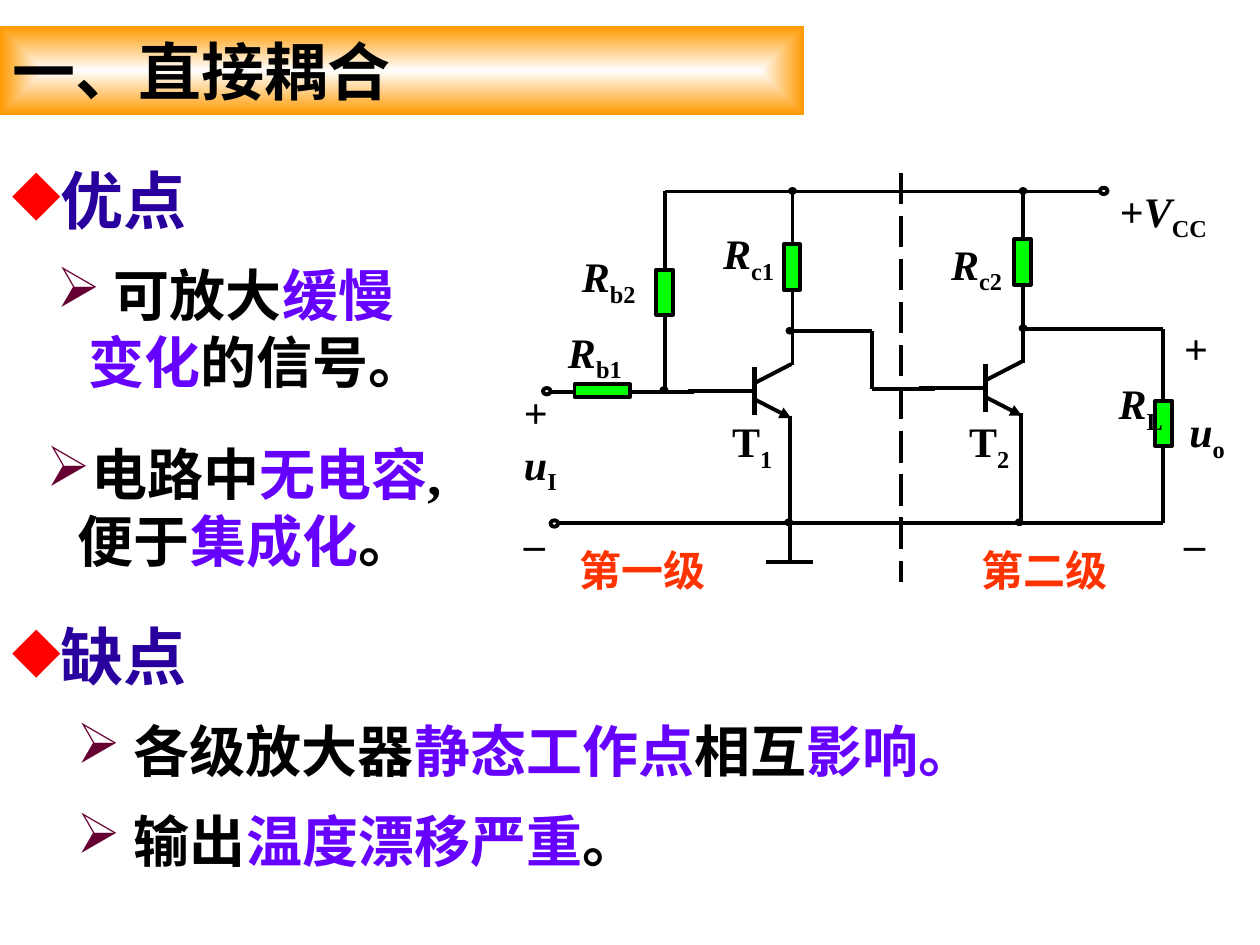
"""Build the slide on direct coupling of two amplifier stages."""
from lxml.etree import SubElement
from pptx import Presentation
from pptx.dml.color import RGBColor
from pptx.enum.dml import MSO_LINE_DASH_STYLE as Dash
from pptx.enum.shapes import MSO_CONNECTOR as Connector, MSO_SHAPE as Shape
from pptx.enum.text import MSO_ANCHOR as Anchor, MSO_AUTO_SIZE as AutoSize, PP_ALIGN as Align
from pptx.oxml.ns import qn
from pptx.util import Inches, Pt

BLACK, WHITE = RGBColor(0, 0, 0), RGBColor(255, 255, 255)
ORANGE, RED = RGBColor(0xFF, 0x99, 0), RGBColor(0xFF, 0, 0)
PURPLE, NAVY = RGBColor(0x66, 0, 0xFF), RGBColor(0x29, 0, 0x9E)
PLUM, VERMILION = RGBColor(0x66, 0, 0x33), RGBColor(0xFF, 0x33, 0)
GREEN = RGBColor(0, 0xFF, 0)
SERIF = "Times New Roman"

TITLE = "一、直接耦合"
HEADINGS = [("优点", 1.23), ("缺点", 4.85)]
POINTS = [
    ((0.51, 5.64, 7.64, 0.64), [(" 各级放大器", BLACK), ("静态工作点", PURPLE),
                                ("相互", BLACK), ("影响。", PURPLE)]),
    ((0.51, 6.35, 7.17, 0.64), [(" 输出", BLACK), ("温度漂移严重", PURPLE), ("。", BLACK)]),
    ((0.35, 2.02, 3.31, 1.17), [(" 可放大", BLACK), ("缓慢变化", PURPLE), ("的信号。", BLACK)]),
    ((0.27, 3.44, 3.62, 1.17), [("电路中", BLACK), ("无电容", PURPLE), (",便于", BLACK),
                                ("集成化", PURPLE), ("。", BLACK)]),
]
STAGE_NAMES = [("第一级", 4.5), ("第二级", 7.69)]

SUPPLY, GROUND, INPUT = 1.52, 4.15, 3.11
BIAS, LINK, LOAD, DIVIDER = 5.28, 6.92, 9.23, 7.15
STAGES = [(5.99, 3.10), (7.82, 3.08)]
TRANSISTOR = [
    ((0, 0), (-0.53, 0), 2.25, False),
    ((0, -0.06), (0.29, -0.21), 2.25, False),
    ((0, -0.19), (0, 0.19), 3, False),
    ((0.28, 0.2), (0.28, 0.63), 2.25, False),
    ((0.3, -0.63), (0.3, -0.2), 2.25, False),
    ((0, 0.07), (0.29, 0.22), 2.25, True),
]
WIRES = [
    (6.29, 2.63, LINK, 2.63), (LINK, 2.63, LINK, 3.09), (LINK, 3.09, 7.42, 3.09),
    (6.27, 3.43, 6.27, GROUND), (8.1, 3.43, 8.1, GROUND), (8.85, GROUND, 4.43, GROUND),
    (5.51, INPUT, 4.37, INPUT), (6.29, 2.75, 6.29, SUPPLY), (8.12, 2.65, 8.12, SUPPLY),
    (BIAS, SUPPLY, 8.12, SUPPLY), (BIAS, SUPPLY, BIAS, INPUT),
    (8.1, 2.61, LOAD, 2.61), (LOAD, 2.61, LOAD, GROUND), (LOAD, GROUND, 8.79, GROUND),
    (7.97, SUPPLY, 8.73, SUPPLY), (6.27, GROUND, 6.27, 4.46), (6.08, 4.46, 6.45, 4.46),
]
RESISTORS = [(4.56, 3.05, 0.44, 0.1), (6.22, 1.94, 0.13, 0.36), (8.05, 1.9, 0.13, 0.36),
             (5.21, 2.14, 0.13, 0.36), (9.17, 3.18, 0.13, 0.36)]
JUNCTIONS = [(5.24, 3.07), (6.23, 4.12), (8.06, 4.12), (8.09, 2.58), (6.24, 2.6),
             (6.26, 1.49), (8.09, 1.49)]
TERMINALS = [(8.73, 1.49), (4.31, 3.08), (4.37, 4.13)]
SYMBOLS = [
    ("R", "b1", 4.41, 2.54, 0.83), ("R", "b2", 4.52, 1.94, 0.88), ("R", "c1", 5.64, 1.76, 0.64),
    ("R", "c2", 7.45, 1.84, 0.64), ("R", "L", 8.78, 2.95, 0.8), ("u", "o", 9.34, 3.17, 0.62),
    ("T", "1", 5.71, 3.25, 0.52), ("T", "2", 7.59, 3.25, 0.52), ("u", "I", 4.06, 3.43, 0.53),
    ("V", "CC", 8.98, 1.42, 0.91),
]
SIGNS = [("+", 9.3, 2.51), ("_", 9.3, 3.95), ("+", 4.06, 3.02), ("_", 4.06, 3.95),
         ("+", 8.79, 1.42)]

presentation = Presentation()
presentation.slide_width, presentation.slide_height = Inches(10), Inches(7.5)
slide = presentation.slides.add_slide(presentation.slide_layouts[6])


def add_bullet(paragraph, symbol, color):
    properties = paragraph._p.get_or_add_pPr()
    properties.set("marL", str(Inches(0.25)))
    properties.set("indent", str(-Inches(0.25)))
    SubElement(SubElement(properties, qn("a:buClr")), qn("a:srgbClr"), val=str(color))
    SubElement(properties, qn("a:buChar"), char=symbol)


def write(shape, runs, size, font=SERIF, bullet=None, wrap=True):
    frame = shape.text_frame
    frame.word_wrap = wrap
    frame.auto_size = AutoSize.SHAPE_TO_FIT_TEXT
    frame.vertical_anchor = Anchor.TOP
    paragraph = frame.paragraphs[0]
    paragraph.alignment = Align.LEFT if wrap else Align.CENTER
    if bullet:
        add_bullet(paragraph, *bullet)
    paragraph.font.size, paragraph.font.name, paragraph.font.bold = Pt(size), font, True
    for text, color in runs:
        run = paragraph.add_run()
        run.text = text
        run.font.color.rgb = color
    return paragraph


def add_text(box, runs, size, **options):
    return write(slide.shapes.add_textbox(*map(Inches, box)), runs, size, **options)


def add_wire(start, end, width=2.25, arrow=False):
    wire = slide.shapes.add_connector(Connector.STRAIGHT, *map(Inches, (*start, *end)))
    wire.line.color.rgb, wire.line.width = BLACK, Pt(width)
    if arrow:
        SubElement(wire.line._get_or_add_ln(), qn("a:tailEnd"), type="triangle")
    SubElement(wire._element.spPr, qn("a:effectLst"))
    return wire


def add_part(kind, box, fill, width):
    part = slide.shapes.add_shape(kind, *map(Inches, box))
    part.shadow.inherit = False
    part.fill.solid()
    part.fill.fore_color.rgb = fill
    part.line.color.rgb, part.line.width = BLACK, Pt(width)


def add_title():
    banner = slide.shapes.add_shape(Shape.RECTANGLE, *map(Inches, (0, 0.21, 6.38, 0.7)))
    banner.shadow.inherit = False
    banner.line.fill.background()
    banner.fill.gradient()
    for stop, position, color in zip(banner.fill.gradient_stops, (0, 1), (WHITE, ORANGE)):
        stop.position, stop.color.rgb = position, color
    gradient = banner._element.spPr.find(qn("a:gradFill"))
    gradient.remove(gradient.find(qn("a:lin")))
    center = SubElement(gradient, qn("a:path"), path="rect")
    SubElement(center, qn("a:fillToRect"), {side: "50000" for side in "ltrb"})
    write(banner, [(TITLE, BLACK)], 36, font="Comic Neue")


def add_circuit():
    for x, y in STAGES:
        for start, end, width, arrow in TRANSISTOR:
            add_wire((x + start[0], y + start[1]), (x + end[0], y + end[1]), width, arrow)
    for wire in WIRES:
        add_wire(wire[:2], wire[2:])
    add_wire((DIVIDER, 1.37), (DIVIDER, 4.62)).line.dash_style = Dash.LONG_DASH
    for box in RESISTORS:
        add_part(Shape.RECTANGLE, box, GREEN, 2.25)
    for points, fill, width in ((JUNCTIONS, BLACK, 0.75), (TERMINALS, WHITE, 2.25)):
        for x, y in points:
            add_part(Shape.OVAL, (x, y, 0.06, 0.05), fill, width)
    for letter, index, left, top, width in SYMBOLS:
        upright = letter == "T"
        paragraph = add_text((left, top, width, 0.56), [(letter, BLACK), (index, BLACK)], 24,
                             wrap=not upright)
        symbol, subscript = paragraph.runs
        symbol.font.italic = not upright
        subscript.font._element.set("baseline", "-25000")
    for sign, left, top in SIGNS:
        add_text((left, top, 0.33, 0.5), [(sign, BLACK)], 24)


for box, runs in POINTS:
    add_text(box, runs, 32, bullet=("➢", PLUM))
for name, left in STAGE_NAMES:
    add_text((left, 4.27, 1.46, 0.5), [(name, VERMILION)], 24, font="Arial")
add_circuit()
add_title()
for heading, top in HEADINGS:
    add_text((0, top, 4.96, 0.7), [(heading, NAVY)], 36, font="Noto Sans CJK SC",
             bullet=("◆", RED))
presentation.save("out.pptx")
